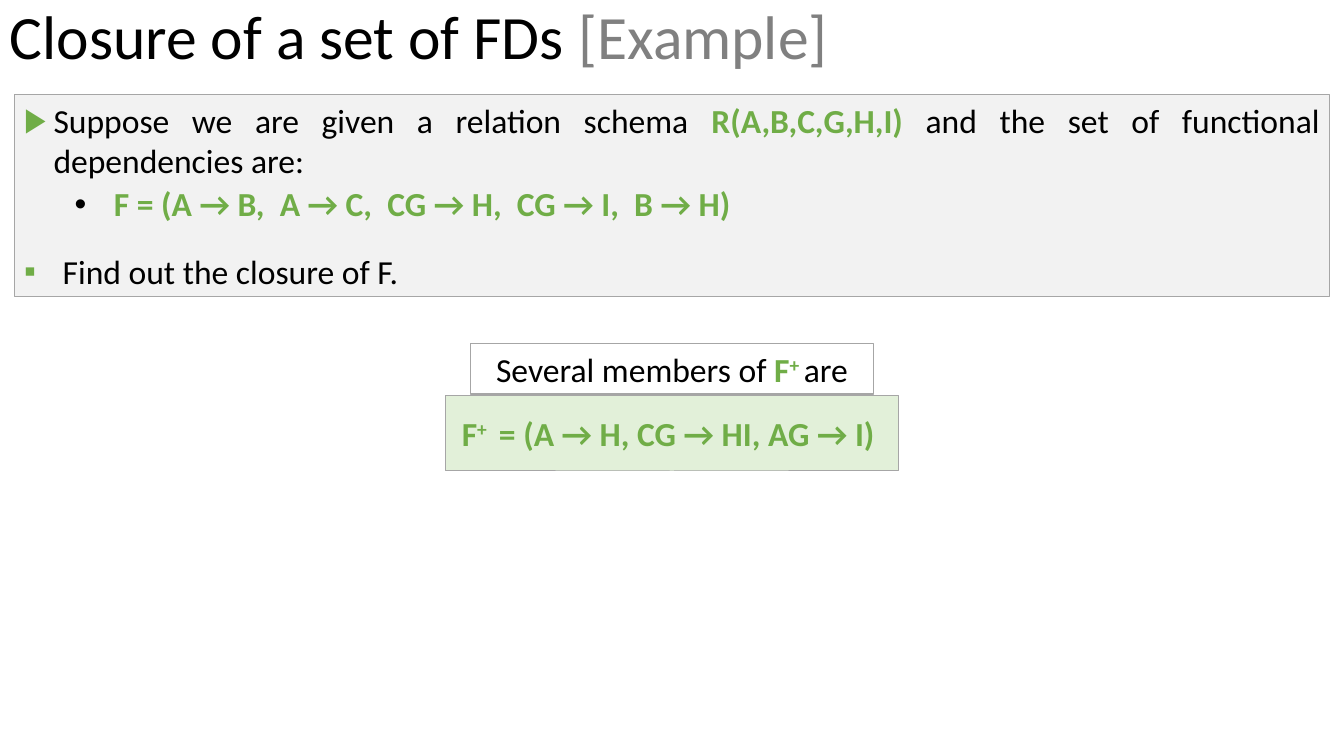
from pptx import Presentation
from pptx.dml.color import RGBColor as RGB
from pptx.enum.shapes import MSO_SHAPE as Kind
from pptx.enum.text import MSO_ANCHOR as Anchor, PP_ALIGN as Align
from pptx.util import Cm, Pt
from lxml import etree

COLORS = {"black": "000000", "grey": "808080", "green": "70AD47",
          "edge": "A6A6A6", "panel": "F2F2F2", "mint": "E2F0D9"}
WIDTH = 33.87
NS = "{http://schemas.openxmlformats.org/drawingml/2006/main}"


def write(para, parts, size=24):
    """Add runs given as (text, color, style); style is "", "bold" or "super"."""
    for text, color, style in parts:
        run = para.add_run()
        run.text = text
        font = run.font
        font.name, font.size = "Calibri", Pt(size)
        font.bold = style != ""
        font.color.rgb = RGB.from_string(COLORS[color])
        if style == "super":
            font._element.set("baseline", "30000")


def box(top, width, height, fill, anchor):
    """Draw a thin-edged rectangle centred on the slide."""
    shape = slide.shapes.add_shape(Kind.RECTANGLE, Cm((WIDTH - width) / 2),
                                   Cm(top), Cm(width), Cm(height))
    shape.shadow.inherit = False
    if fill:
        shape.fill.solid()
        shape.fill.fore_color.rgb = RGB.from_string(COLORS[fill])
    else:
        shape.fill.background()
    shape.line.color.rgb = RGB.from_string(COLORS["edge"])
    shape.line.width = Pt(0.75)
    frame = shape.text_frame
    frame.word_wrap = True
    frame.vertical_anchor = anchor
    return frame


deck = Presentation()
deck.slide_width, deck.slide_height = Cm(WIDTH), Cm(19.05)
slide = deck.slides.add_slide(deck.slide_layouts[6])

# Title
title = slide.shapes.add_textbox(0, 0, Cm(WIDTH), Cm(1.98)).text_frame
title.word_wrap = True
title.vertical_anchor = Anchor.MIDDLE
head = title.paragraphs[0]
head.line_spacing = 0.9
write(head, [("Closure of a set of FDs ", "black", ""),
             ("[Example]", "grey", "")], 44)

# Answer and its label
answer = box(9.96, 11.43, 1.91, "mint", Anchor.MIDDLE).paragraphs[0]
answer.alignment = Align.CENTER
answer.space_before = Pt(9)
write(answer, [("F", "green", "bold"), ("+ ", "green", "super"),
               (" = (A → H, CG → HI, AG → I) ", "green", "bold")])

label = box(8.66, 10.16, 1.27, None, Anchor.TOP).paragraphs[0]
label.alignment = Align.CENTER
write(label, [("Several members of ", "black", ""), ("F", "green", "bold"),
              ("+ ", "green", "super"), ("are", "black", "")])

# Problem: bullet, its color, indent, hang, line spacing, space before, runs
items = [
    ("▶", "green", 0.74, 0.74, 1, 18,
     [("Suppose we are given a relation schema ", "black", ""),
      ("R(A,B,C,G,H,I)", "green", "bold"),
      (" and the set of functional dependencies are:", "black", "")]),
    ("•", "black", 2.26, 0.99, 0.9, 5,
     [("F = (A → B,  A → C,  CG → H,  CG → I,  B → H)", "green", "bold")]),
    ("▪", "green", 0.97, 0.97, 1.5, 5,
     [("Find out the closure of F. ", "black", "")]),
]
panel = box(2.39, 33.15, 5.08, "panel", Anchor.TOP)
for i, (mark, color, indent, hang, lines, before, parts) in enumerate(items):
    para = panel.add_paragraph() if i else panel.paragraphs[0]
    para.alignment = Align.JUSTIFY
    para.line_spacing = lines
    para.space_before = Pt(before)
    props = para._p.get_or_add_pPr()
    props.set("marL", str(Cm(indent)))
    props.set("indent", str(-Cm(hang)))
    tint = etree.SubElement(props, NS + "buClr")
    etree.SubElement(tint, NS + "srgbClr", val=COLORS[color])
    etree.SubElement(props, NS + "buFont", typeface="Arial")
    etree.SubElement(props, NS + "buChar", char=mark)
    write(para, parts)

deck.save("out.pptx")
